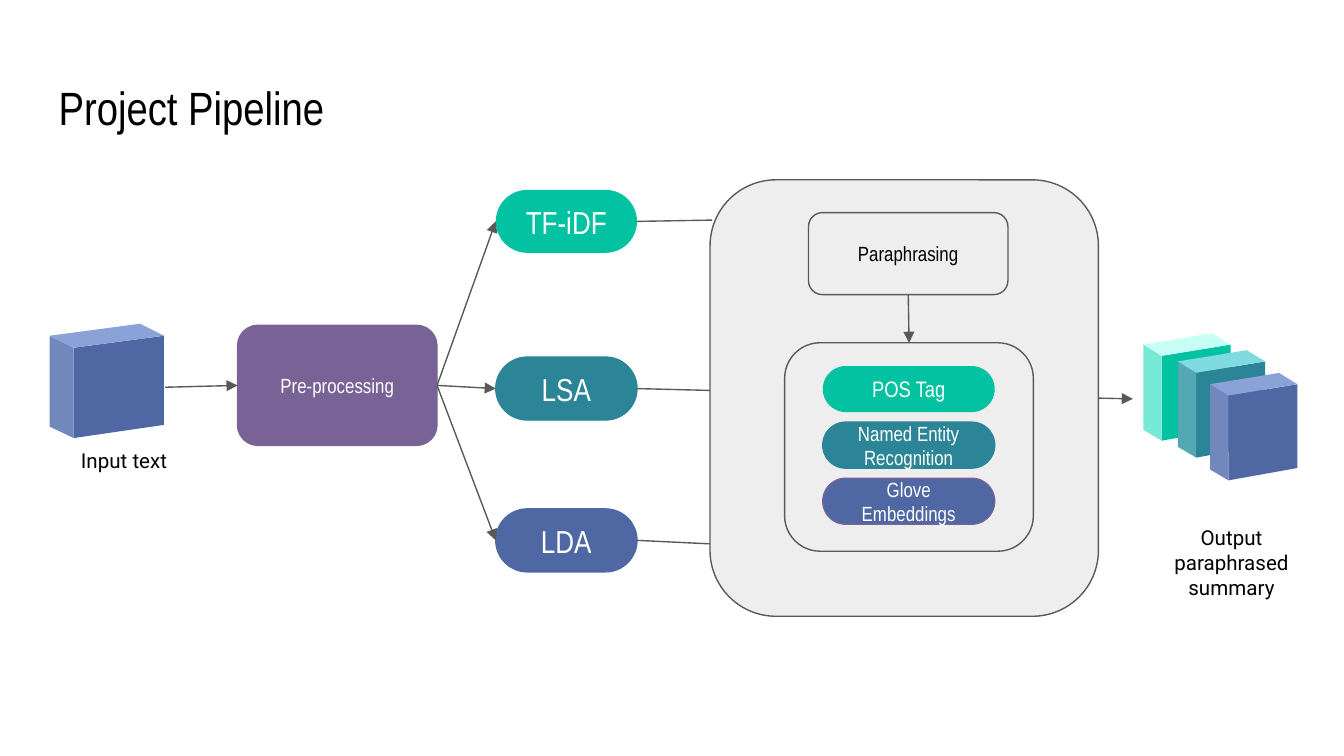
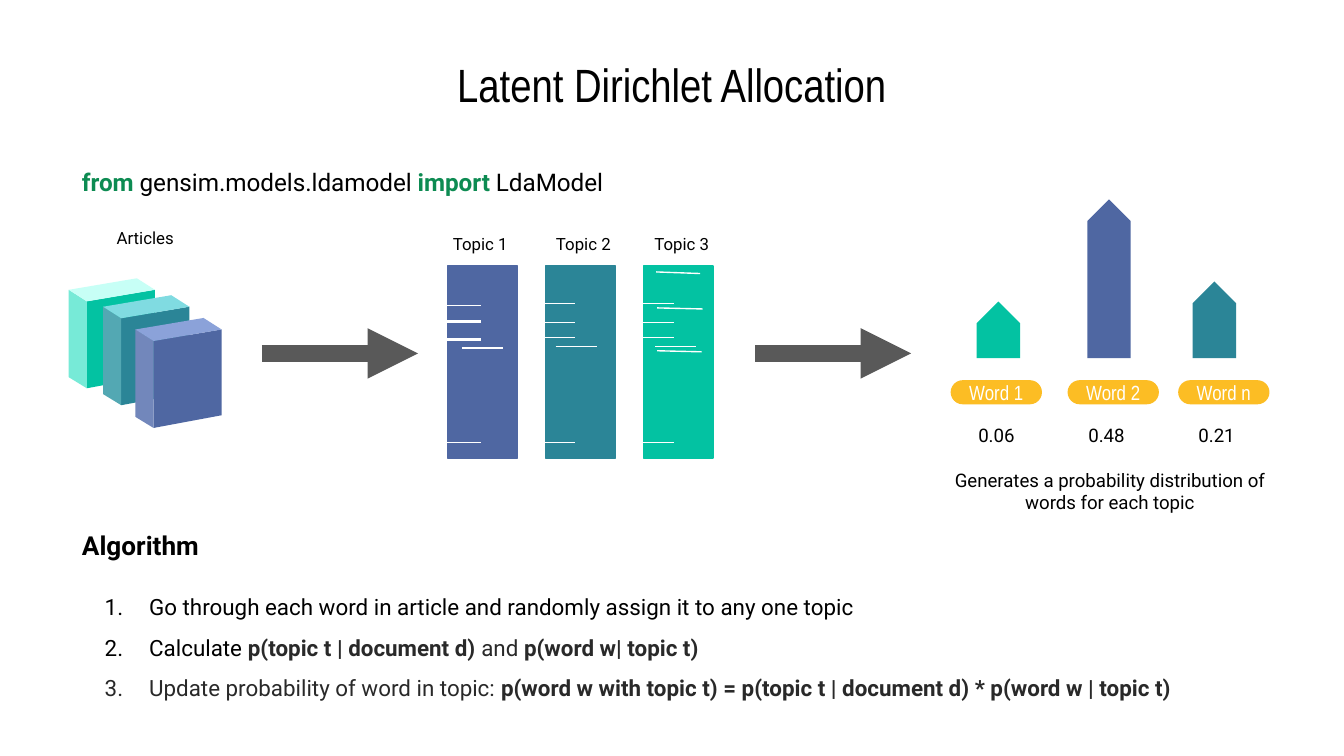
from collections import namedtuple
from dataclasses import dataclass

from lxml.etree import SubElement
from pptx import Presentation
from pptx.dml.color import RGBColor
from pptx.enum.shapes import MSO_CONNECTOR, MSO_SHAPE
from pptx.enum.text import MSO_ANCHOR, PP_ALIGN
from pptx.oxml.ns import qn
from pptx.util import Cm, Pt


@dataclass(frozen=True)
class Theme:
    green: str = "03C2A2"
    teal: str = "2B8597"
    blue: str = "4F67A2"
    purple: str = "796295"
    yellow: str = "FCBD24"
    keyword: str = "0D8B52"
    panel: str = "EEEEEE"
    line: str = "595959"
    black: str = "000000"
    charcoal: str = "292929"
    white: str = "FFFFFF"
    heading_font: str = "Arial Narrow"
    body_font: str = "Roboto"
    title_size: int = 25
    method_size: int = 17
    heading_size: int = 14
    code_size: int = 13
    list_size: int = 12
    label_size: int = 11
    value_size: int = 10
    small_size: int = 9
    thin: float = 0.75
    thick: float = 9


THEME = Theme()
Site = namedtuple("Site", "shape index")
TOP, LEFT, BOTTOM, RIGHT = range(4)

# Front, side and lid colours of each cube
GREEN_CUBE = (THEME.green, "77EAD7", "C7FFF6")
TEAL_CUBE = (THEME.teal, "53A8B3", "80DBE1")
BLUE_CUBE = (THEME.blue, "7287BB", "8BA2D9")
STACK = [(0, 0, GREEN_CUBE), (0.65, 0.32, TEAL_CUBE), (1.26, 0.75, BLUE_CUBE)]

# Text, top, fill, outline, y where the line meets the panel
METHODS = [
    ("TF-iDF", 3.59, THEME.green, None, (13.46, 4.16)),
    ("LSA", 6.75, THEME.teal, THEME.teal, (13.42, 7.38)),
    ("LDA", 9.62, THEME.blue, THEME.blue, (13.42, 10.28)),
]
FEATURES = [
    ("POS Tag", THEME.green, None, THEME.list_size),
    ("Named Entity Recognition", THEME.teal, THEME.teal, THEME.label_size),
    ("Glove Embeddings", THEME.blue, THEME.purple, THEME.label_size),
]

# Name, colour, label left, text line left, heights of the text lines, indented line
TOPICS = [
    ("Topic 1", THEME.blue, 8.26, 8.31, (5.77, 6.07, 6.1, 6.4, 6.43, 8.36), 6.58),
    ("Topic 2", THEME.teal, 10.21, 10.08, (5.74, 6.1, 6.38, 8.36), 6.55),
    ("Topic 3", THEME.green, 12.07, 11.96, (5.74, 6.1, 6.38, 8.36), 6.55),
]
SLANTED_LINES = [
    ((12.4, 5.14), (13.23, 5.17)),
    ((12.42, 5.82), (13.28, 5.84)),
    ((12.42, 6.63), (13.26, 6.65)),
]
# Word, probability, colour, pill left, bar centre, bar height
WORDS = [
    ("Word 1", "0.06", THEME.green, 17.98, 18.87, 1.07),
    ("Word 2", "0.48", THEME.blue, 20.19, 20.96, 3.0),
    ("Word n", "0.21", THEME.teal, 22.28, 22.95, 1.45),
]
KEYWORD = dict(color=THEME.keyword, bold=True)
STRONG = dict(color=THEME.charcoal, bold=True)
DARK = dict(color=THEME.charcoal)
IMPORT_LINE = [
    ("from ", KEYWORD),
    ("gensim.models.ldamodel ", {}),
    ("import ", KEYWORD),
    ("LdaModel", {}),
]
ALGORITHM = [
    [("Go through each word in article and randomly assign it to any one topic", {})],
    [
        ("Calculate ", {}),
        ("p(topic t | document d) ", STRONG),
        ("and ", DARK),
        ("p(word w| topic t)", STRONG),
    ],
    [
        ("Update probability of word in topic: ", DARK),
        ("p(word w with topic t) = p(topic t | document d) * p(word w | topic t)", STRONG),
    ],
]


def color_of(value):
    return RGBColor.from_string(value)


def write(paragraph, text, size=THEME.label_size, font=THEME.body_font,
          color=THEME.black, bold=False, align=PP_ALIGN.LEFT):
    """Fill a paragraph from a string or from (text, overrides) pairs."""
    paragraph.alignment = align
    for part, changes in [(text, {})] if isinstance(text, str) else text:
        run = paragraph.add_run()
        run.text = part
        run.font.size = Pt(size)
        run.font.name = font
        run.font.bold = changes.get("bold", bold)
        run.font.color.rgb = color_of(changes.get("color", color))


def prepare_frame(shape, anchor):
    frame = shape.text_frame
    frame.word_wrap = True
    frame.vertical_anchor = anchor
    frame.margin_left = frame.margin_right = Cm(0.25)
    frame.margin_top = frame.margin_bottom = Cm(0.25)
    return frame


def add_text(slide, text, box, **text_format):
    shape = slide.shapes.add_textbox(*map(Cm, box))
    frame = prepare_frame(shape, MSO_ANCHOR.TOP)
    write(frame.paragraphs[0], text, **text_format)
    return frame


def add_title(slide, text, top, align=PP_ALIGN.LEFT):
    add_text(slide, text, (0.86, top, 23.67, 1.6), size=THEME.title_size,
             font=THEME.heading_font, align=align)


def paint(shape, fill, outline=None):
    shape.shadow.inherit = False
    shape.fill.solid()
    shape.fill.fore_color.rgb = color_of(fill)
    if outline:
        shape.line.color.rgb = color_of(outline)
        shape.line.width = Pt(THEME.thin)
    else:
        shape.line.fill.background()


def add_block(slide, box, fill, outline=None, kind=MSO_SHAPE.ROUNDED_RECTANGLE,
              rounding=0.17, text=None, color=THEME.white, size=THEME.label_size):
    shape = slide.shapes.add_shape(kind, *map(Cm, box))
    paint(shape, fill, outline)
    if kind == MSO_SHAPE.ROUNDED_RECTANGLE:
        shape.adjustments[0] = rounding
    if text:
        frame = prepare_frame(shape, MSO_ANCHOR.MIDDLE)
        write(frame.paragraphs[0], text, size=size, color=color,
              font=THEME.heading_font, align=PP_ALIGN.CENTER)
    return shape


def add_line(slide, start, end, color=THEME.line, width=THEME.thin, arrow=False):
    """Join two ends, each an (x, y) point or a Site on a shape."""
    points = [(0, 0) if isinstance(place, Site) else place for place in (start, end)]
    connector = slide.shapes.add_connector(
        MSO_CONNECTOR.STRAIGHT, *(Cm(value) for point in points for value in point))
    if isinstance(start, Site):
        connector.begin_connect(start.shape, start.index)
    if isinstance(end, Site):
        connector.end_connect(end.shape, end.index)
    connector.line.color.rgb = color_of(color)
    connector.line.width = Pt(width)
    if arrow:
        SubElement(connector.line._get_or_add_ln(), qn("a:tailEnd"), type="triangle")
    SubElement(connector._element.spPr, qn("a:effectLst"))


def add_cube(slide, left, top, width, height, colors):
    corner = (0.21, 0.21)
    back_left, back_right, right = (0, 0.105), (0.79, 0), (1, 0.105)
    foot_left, foot, foot_right = (0, 0.9), (0.21, 1), (1, 0.885)
    faces = [
        (right, corner, foot, foot_right),
        (back_left, foot_left, foot, corner),
        (back_right, back_left, corner, right),
    ]
    for face, color in zip(faces, colors):
        points = [(Cm(left + x * width), Cm(top + y * height)) for x, y in face]
        builder = slide.shapes.build_freeform(*points[0])
        builder.add_line_segments(points[1:], close=True)
        paint(builder.convert_to_shape(), color)


def add_cube_stack(slide, left, top, width, height):
    for across, down, colors in STACK:
        add_cube(slide, left + across, top + down, width, height, colors)


def number_paragraph(paragraph):
    properties = paragraph._p.get_or_add_pPr()
    properties.set("marL", str(Cm(1.27)))
    properties.set("indent", str(Cm(-0.84)))
    SubElement(properties, qn("a:buFont"), typeface=THEME.body_font)
    SubElement(properties, qn("a:buAutoNum"), type="arabicPeriod")


def build_pipeline(slide):
    add_title(slide, "Project Pipeline", 1.24)
    preprocessing = add_block(slide, (4.49, 6.15, 3.77, 2.27), THEME.purple,
                              THEME.purple, text="Pre-processing")
    for text, top, fill, outline, panel_point in METHODS:
        method = add_block(slide, (9.37, top, 2.67, 1.19), fill, outline, rounding=0.5,
                           text=text, size=THEME.method_size)
        add_line(slide, Site(preprocessing, RIGHT), Site(method, LEFT), arrow=True)
        add_line(slide, Site(method, RIGHT), panel_point)
    add_cube(slide, 0.94, 6.12, 2.16, 2.16, BLUE_CUBE)
    add_line(slide, (3.12, 7.32), Site(preprocessing, LEFT), arrow=True)

    panel = add_block(slide, (13.42, 3.4, 7.34, 8.25), THEME.panel, THEME.line)
    features = add_block(slide, (14.83, 6.48, 4.7, 3.94), THEME.panel, THEME.line)
    for index, (text, fill, outline, size) in enumerate(FEATURES):
        add_block(slide, (15.55, 6.92 + index * 1.06, 3.25, 0.87), fill, outline,
                  rounding=0.5, text=text, size=size)
    paraphrasing = add_block(slide, (15.28, 4.02, 3.77, 1.55), THEME.panel, THEME.line,
                             text="Paraphrasing", color=THEME.black)
    add_line(slide, Site(paraphrasing, BOTTOM), Site(features, TOP), arrow=True)

    add_cube_stack(slide, 21.61, 6.3, 1.65, 2.03)
    add_line(slide, Site(panel, RIGHT), (21.41, 7.54), arrow=True)
    add_text(slide, "Input text", (0.81, 8.23, 3.07, 0.99), align=PP_ALIGN.CENTER)
    add_text(slide, "Output paraphrased summary", (21.74, 9.68, 3.07, 1.93),
             align=PP_ALIGN.CENTER)


def add_topics(slide):
    for index, (name, color, label_left, left, heights, indented) in enumerate(TOPICS):
        add_block(slide, (8.46 + index * 1.85, 5.03, 1.32, 3.63), color, color,
                  kind=MSO_SHAPE.RECTANGLE)
        add_text(slide, name, (label_left, 4.22, 1.63, 0.89), size=THEME.small_size,
                 align=PP_ALIGN.CENTER)
        starts = [(left, y) for y in heights] + [(left + 0.42, indented)]
        for x, y in starts:
            add_line(slide, (x, y), (x + 0.78, y), color=THEME.white)
    for start, end in SLANTED_LINES:
        add_line(slide, start, end, color=THEME.white)


def add_word_distribution(slide):
    bar_width, baseline = 0.82, 6.77
    for index, (word, value, color, pill_left, center, height) in enumerate(WORDS):
        middle = baseline - height / 2
        bar = add_block(slide, (center - height / 2, middle - bar_width / 2, height, bar_width),
                        color, kind=MSO_SHAPE.PENTAGON)
        bar.rotation = 270
        add_block(slide, (pill_left, 7.2, 1.7, 0.43), THEME.yellow, THEME.yellow,
                  rounding=0.5, text=word)
        add_text(slide, value, (18.24 + index * 2.08, 7.8, 1.3, 0.94),
                 size=THEME.value_size)
    add_text(slide, "Generates a probability distribution of words for each topic",
             (17.7, 8.61, 6.55, 1.37), size=THEME.value_size, align=PP_ALIGN.CENTER)


def build_allocation(slide):
    add_title(slide, "Latent Dirichlet Allocation", 0.81, PP_ALIGN.CENTER)
    add_text(slide, IMPORT_LINE, (1.3, 2.92, 17.75, 1.07), size=THEME.code_size)
    add_text(slide, "Articles", (1.93, 4.11, 1.63, 0.89), size=THEME.small_size,
             align=PP_ALIGN.CENTER)
    add_cube_stack(slide, 1.3, 5.26, 1.63, 2.08)
    add_topics(slide)
    for left in (4.95, 14.27):
        add_line(slide, (left, 6.68), (left + 2.95, 6.68), width=THEME.thick, arrow=True)
    add_word_distribution(slide)

    frame = add_text(slide, "Algorithm", (1.3, 9.47, 21.87, 3.81),
                     size=THEME.heading_size, bold=True)
    frame.paragraphs[0].line_spacing = 1.5
    for index, step in enumerate(ALGORITHM):
        paragraph = frame.add_paragraph()
        write(paragraph, step, size=THEME.list_size)
        paragraph.line_spacing = 1.5
        paragraph.space_before = Pt(0 if index else 10)
        number_paragraph(paragraph)


def main():
    presentation = Presentation()
    presentation.slide_width, presentation.slide_height = Cm(25.4), Cm(14.29)
    for build in (build_pipeline, build_allocation):
        build(presentation.slides.add_slide(presentation.slide_layouts[6]))
    presentation.save("out.pptx")


if __name__ == "__main__":
    main()
